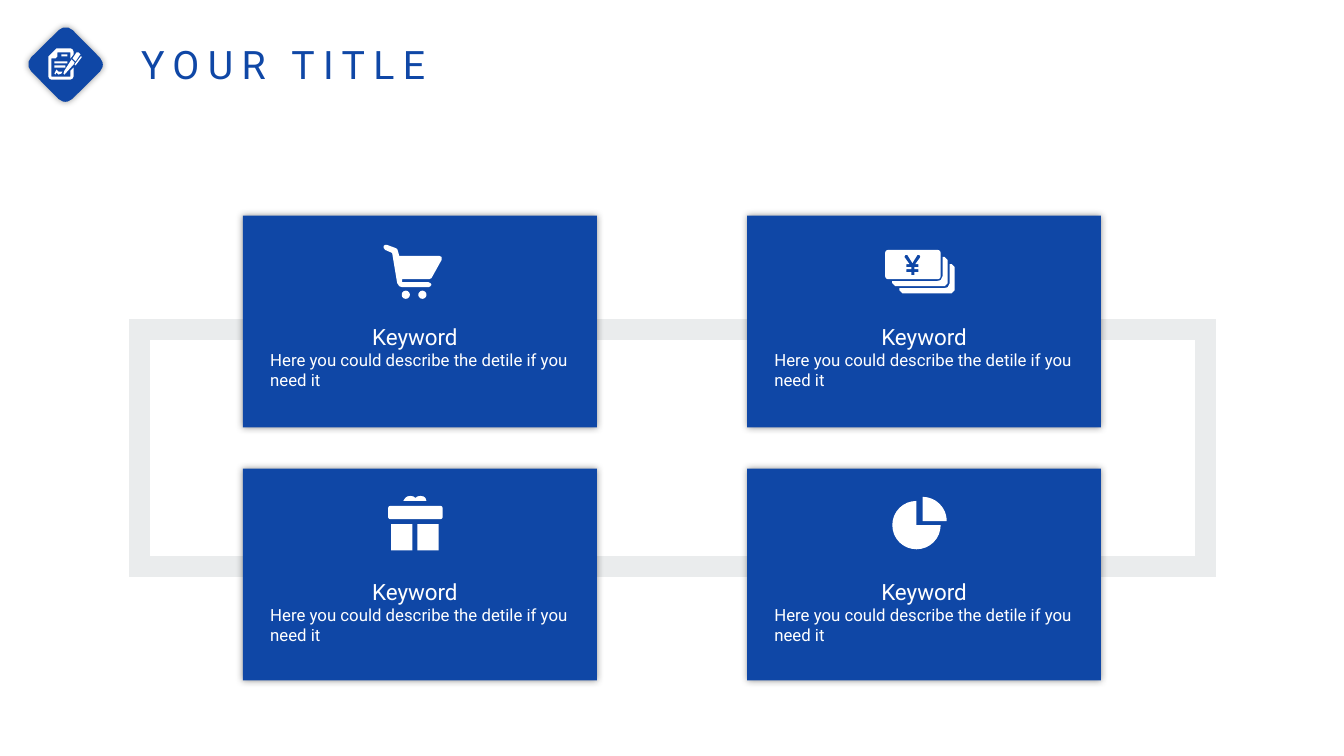
from math import cos, radians, sin

from lxml.etree import SubElement
from pptx import Presentation
from pptx.dml.color import RGBColor
from pptx.enum.shapes import MSO_SHAPE
from pptx.enum.text import MSO_ANCHOR, MSO_AUTO_SIZE, PP_ALIGN
from pptx.oxml.ns import qn
from pptx.util import Inches, Pt

COLORS = {"blue": "0F47A6", "gray": "EAECED", "white": "FFFFFF", "shadow": "000000"}
FONT = "Roboto"
DETAIL = "Here you could describe the detile if you need it"


def color(name):
    """Return the named palette colour."""
    return RGBColor.from_string(COLORS[name])


def arc(center_x, center_y, radius, start=0, end=360):
    """Return points along a clockwise arc, with angles in degrees."""
    steps = 24
    angles = [radians(start + (end - start) * step / steps) for step in range(steps + 1)]
    return [(center_x + radius * cos(a), center_y + radius * sin(a)) for a in angles]


def box(left, top, width, height, radius=0):
    """Return the outline of a rectangle with optional rounded corners."""
    right, bottom = left + width, top + height
    if not radius:
        return [(left, top), (right, top), (right, bottom), (left, bottom)]
    return (arc(right - radius, bottom - radius, radius, 0, 90)
            + arc(left + radius, bottom - radius, radius, 90, 180)
            + arc(left + radius, top + radius, radius, 180, 270)
            + arc(right - radius, top + radius, radius, 270, 360))


def banknote_edge(shift):
    """Return the visible edge of a banknote lying behind the front one."""
    edge = [(57, 7), (59, 7), (62, 10), (62, 33), (59, 36), (10, 36), (7, 33),
            (7, 31), (51, 31), (55, 30), (57, 26)]
    return [(x + shift, y + shift) for x, y in edge]


DOCUMENT = [
    [(8, 0), (22, 0), (24, 1), (25, 3), (25, 6), (22, 10), (22, 4), (9, 4), (9, 8),
     (7, 10), (3, 10), (3, 28), (22, 28), (22, 22), (25, 19), (25, 28), (24, 30),
     (22, 31), (3, 31), (1, 30), (0, 28), (0, 8)],
    [(23, 11), (26, 14), (25, 16), (16, 26), (15, 25), (16, 22)],
    [(30, 4), (32, 6), (31, 7), (27, 13), (24, 10), (28, 4)],
    [(33, 8), (33, 9), (27, 17), (26, 16), (32, 8)],
    [(8, 21), (10, 23), (14, 23), (13, 25), (10, 26), (8, 24), (7, 26), (6, 25)],
    box(6, 17, 11, 2), box(6, 13, 13, 2), box(13, 6, 6, 2),
]
CART = [
    [(2, 0), (4, 0), (12, 3), (14, 4), (15, 7), (16, 11), (56, 11), (58, 12), (58, 15),
     (48, 33), (46, 34), (19, 34), (19, 37), (45, 37), (47, 38), (48, 39.5), (47, 41),
     (45, 42), (19, 42), (16, 41), (14, 38), (9, 8), (2, 5), (0.5, 3), (0.5, 1)],
    arc(22.5, 49.5, 4), arc(39, 49.5, 4),
]
BANKNOTES = [
    box(0, 0, 55, 29, 3), banknote_edge(0), banknote_edge(7),
    [(20, 5), (22, 5), (27, 13), (32, 5), (34, 5), (35, 7), (30, 14), (33, 14), (33, 17),
     (29, 17), (29, 19), (33, 19), (33, 22), (29, 22), (29, 25), (26, 25), (26, 22),
     (21, 22), (21, 19), (26, 19), (26, 17), (21, 17), (21, 14), (24, 14), (19, 7)],
]
GIFT = [
    box(3, 28, 21, 26), box(29, 28, 21, 26), box(0, 10, 54, 13, 2),
    [(15, 5), (17, 2), (19, 0.5), (22, 0), (25, 0.5), (27, 2), (29, 0.5), (32, 0),
     (35, 0.5), (37, 2), (38, 5)],
]
PIE = [[(24, 28)] + arc(24, 28, 24, 0, 270), [(30, 24)] + arc(30, 24, 24, 270, 360)]


def add_icon(shapes, left, top, outlines):
    """Draw outlines, given in hundredths of an inch, as one white freeform."""
    contours = [[(x * 10, y * 10) for x, y in outline] for outline in outlines]
    builder = shapes.build_freeform(*contours[0][0], scale=Inches(0.001))
    for contour in contours:
        builder.move_to(*contour[0])
        builder.add_line_segments(contour[1:], close=True)
    icon = builder.convert_to_shape(Inches(left), Inches(top))
    icon.shadow.inherit = False
    icon.fill.solid()
    icon.fill.fore_color.rgb = color("white")
    icon.line.fill.background()


def add_panel(shapes, kind, left, top, width, height):
    """Add a blue shape with a soft shadow around it."""
    panel = shapes.add_shape(kind, Inches(left), Inches(top), Inches(width), Inches(height))
    panel.fill.solid()
    panel.fill.fore_color.rgb = color("blue")
    panel.line.fill.background()
    panel.shadow.inherit = False
    effects = panel._element.spPr.find(qn("a:effectLst"))
    shadow = SubElement(effects, qn("a:outerShdw"), blurRad=str(Pt(5)), dist="0",
                        algn="ctr", rotWithShape="0")
    shade = SubElement(shadow, qn("a:srgbClr"), val=COLORS["shadow"])
    SubElement(shade, qn("a:alpha"), val="40000")
    return panel


def write_text(frame, text, size, name="white", align=PP_ALIGN.LEFT, spacing=1.0,
               wrap=True, tracking=0):
    """Write one formatted paragraph into a text frame."""
    frame.word_wrap = wrap
    frame.auto_size = MSO_AUTO_SIZE.NONE
    frame.vertical_anchor = MSO_ANCHOR.TOP
    paragraph = frame.paragraphs[0]
    paragraph.alignment = align
    paragraph.line_spacing = spacing
    run = paragraph.add_run()
    run.text = text
    run.font.name = FONT
    run.font.size = Pt(size)
    run.font.color.rgb = color(name)
    if tracking:
        run._r.get_or_add_rPr().set("spc", str(tracking * 100))


def add_header(slide, left, top):
    """Place the diamond badge and the slide title."""
    badge = slide.shapes.add_group_shape()
    diamond = add_panel(badge.shapes, MSO_SHAPE.ROUNDED_RECTANGLE, left, top, 0.58, 0.58)
    diamond.rotation = 315.4
    add_icon(badge.shapes, left + 0.12, top + 0.13, DOCUMENT)
    title = slide.shapes.title
    title.left, title.top = Inches(left + 0.94), Inches(top)
    title.width, title.height = Inches(3.31), Inches(0.57)
    write_text(title.text_frame, "YOUR TITLE", 28, name="blue", wrap=False, tracking=6)


def add_frame(slide, left, top, width, height):
    """Draw the thick gray frame that links the cards."""
    frame = slide.shapes.add_shape(MSO_SHAPE.RECTANGLE, Inches(left), Inches(top),
                                   Inches(width), Inches(height))
    frame.shadow.inherit = False
    frame.fill.background()
    frame.line.color.rgb = color("gray")
    frame.line.width = Pt(15)
    SubElement(frame.line._get_or_add_ln(), qn("a:miter"), lim="800000")


def add_card(slide, left, top, icon, icon_left, icon_top, keyword_left, text_top):
    """Place a card with its icon, keyword and detail, offset from its corner."""
    shapes = slide.shapes.add_group_shape().shapes
    add_panel(shapes, MSO_SHAPE.RECTANGLE, left, top, 3.51, 2.1)
    add_icon(shapes, left + icon_left, top + icon_top, icon)
    keyword = shapes.add_textbox(Inches(left + keyword_left), Inches(top + text_top),
                                 Inches(1.97), Inches(0.5))
    write_text(keyword.text_frame, "Keyword", 16, align=PP_ALIGN.CENTER, spacing=1.5)
    detail = shapes.add_textbox(Inches(left + 0.27), Inches(top + text_top + 0.4),
                                Inches(2.98), Inches(0.73))
    frame = detail.text_frame
    frame.margin_left = frame.margin_right = frame.margin_bottom = 0
    frame.margin_top = Inches(0.05)
    write_text(frame, DETAIL, 12)


def main():
    """Build and save the slide."""
    presentation = Presentation()
    presentation.slide_width, presentation.slide_height = Inches(13.33), Inches(7.5)
    slide = presentation.slides.add_slide(presentation.slide_layouts[5])
    add_header(slide, 0.36, 0.35)
    add_frame(slide, 1.38, 3.27, 10.58, 2.35)
    cards = [(CART, 1.39, 0.29), (BANKNOTES, 1.37, 0.34),
             (GIFT, 1.44, 0.27), (PIE, 1.44, 0.28)]
    for index, (icon, icon_left, icon_top) in enumerate(cards):
        row, column = divmod(index, 2)
        add_card(slide, 2.41 + 5 * column, 2.14 + 2.51 * row, icon, icon_left, icon_top,
                 keyword_left=0.72 + 0.05 * column, text_top=0.88 + 0.02 * row)
    presentation.save("out.pptx")


if __name__ == "__main__":
    main()
